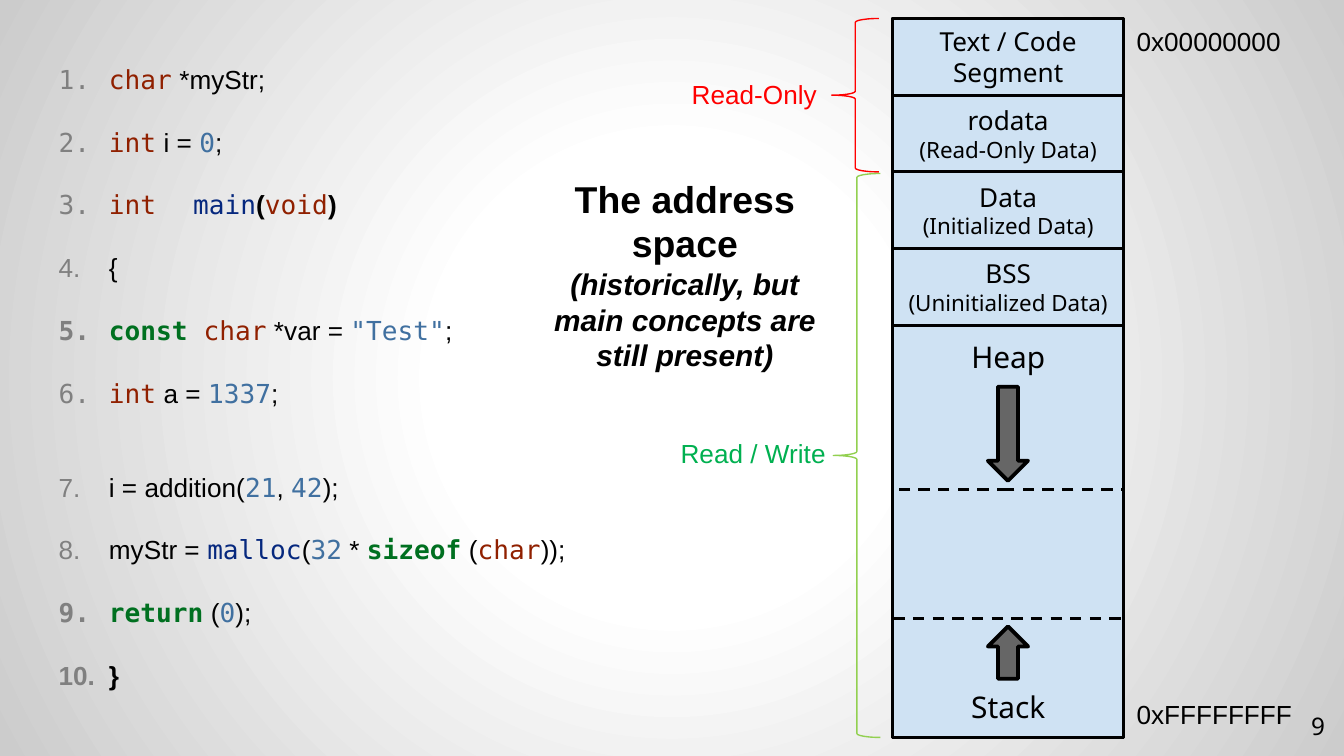
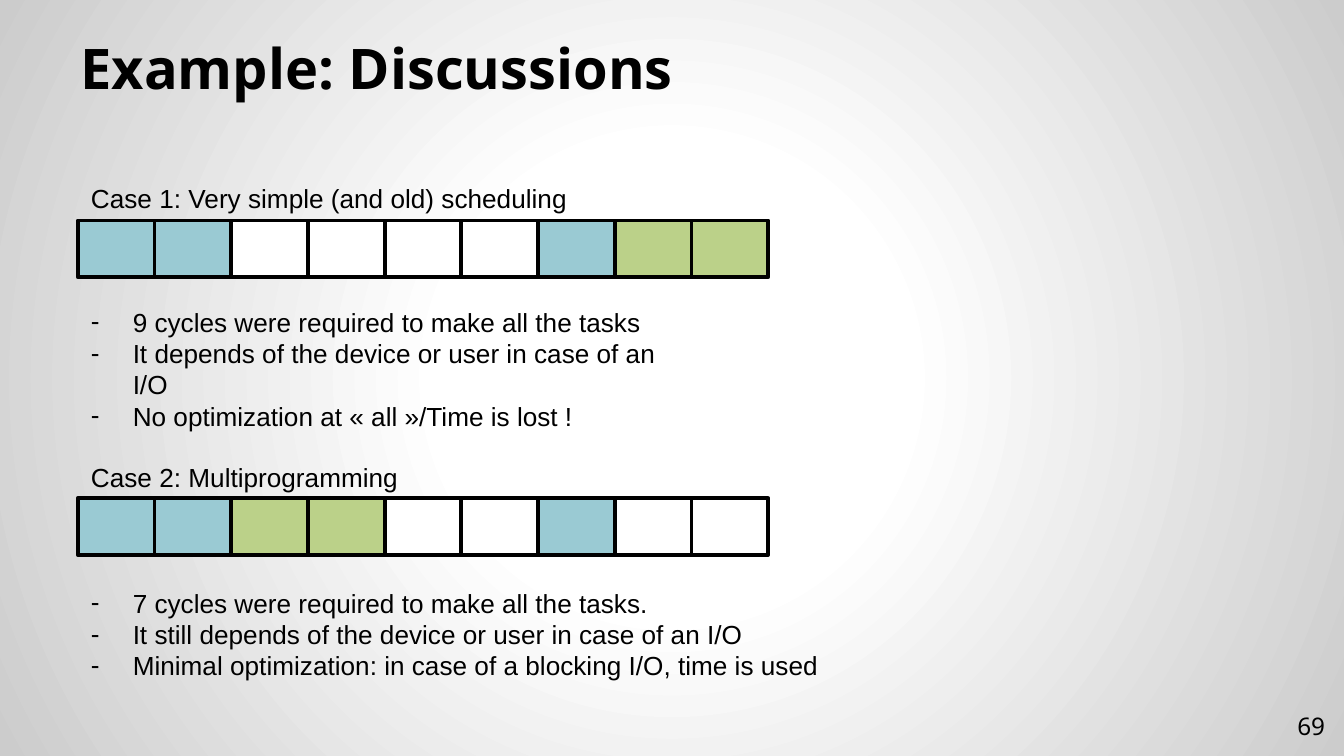
from pptx import Presentation
from pptx.dml.color import RGBColor
from pptx.enum import dml, shapes, text
from pptx.oxml import xmlchemy
from pptx.util import Cm, Pt

BODY_FONT, CODE_FONT, HEAD_FONT = "Arial", "DejaVu Sans Mono", "Noto Sans"
BLACK, WHITE = "000000", "FFFFFF"
MEMORY_BLUE, ARROW_GREY, NUMBER_GREY = "CFE2F3", "666666", "808080"
CELL_COLOURS = {"A": "9ACAD3", "B": "BBD189", "-": WHITE}
KEYWORD, TYPE, FUNCTION, LITERAL = "007020", "902000", "06287E", "4070A0"
TOKEN_COLOURS = {
    **dict.fromkeys(["const", "sizeof", "return"], KEYWORD),
    **dict.fromkeys(["char", "int", "void"], TYPE),
    **dict.fromkeys(["main", "malloc"], FUNCTION),
    **dict.fromkeys(["0", "1337", "21", "42", "32", '"Test"'], LITERAL),
}
BOLD_MARK = "^"
CODE_LINES = [
    "char| *myStr;",
    "int| i = |0|;",
    "int\t|main|^(|void|^)",
    "{",
    'const |char| *var = |"Test"|;',
    "int| a = |1337|;",
    "i = addition(|21|, |42|);",
    "myStr = |malloc|(|32| * |sizeof| (|char|));",
    "return| (|0|);",
    "^}",
]
CODE_GAP, BLOCK_GAP = 16.8, 33.6
FIRST_LINE_AFTER_BLOCK = 6
SEGMENTS = [
    "Text / Code Segment",
    "rodata\v(Read-Only Data)",
    "Data\v(Initialized Data)",
    "BSS\v(Uninitialized Data)",
]
MEMORY_LEFT, MEMORY_TOP, MEMORY_WIDTH, MEMORY_HEIGHT = 16.87, 0.35, 4.37, 13.59
SEGMENT_HEIGHT = 1.45
CELL_LEFT, CELL_WIDTH, CELL_HEIGHT = 1.47, 1.45, 1.07
CASES = [
    ("Case 1: Very simple (and old) scheduling", 3.33, "AA----ABB", 4.17, 5.66, 11.91, [
        "9 cycles were required to make all the tasks",
        "It depends of the device or user in case of an I/O",
        "No optimization at « all »/Time is lost !",
    ]),
    ("Case 2: Multiprogramming", 8.59, "AABB--A--", 9.42, 10.97, 15.29, [
        "7 cycles were required to make all the tasks.",
        "It still depends of the device or user in case of an I/O",
        "Minimal optimization: in case of a blocking I/O, time is used",
    ]),
]


def colour(value):
    return RGBColor.from_string(value)


def add_element(parent, tag, **attributes):
    element = xmlchemy.OxmlElement(tag)
    for key, value in attributes.items():
        element.set(key, str(value))
    parent.append(element)
    return element


def set_background(master):
    master.background.fill.gradient()
    gradient = master.element.xpath("p:cSld/p:bg/p:bgPr/a:gradFill")[0]
    for child in list(gradient):
        gradient.remove(child)
    stops = add_element(gradient, "a:gsLst")
    for percent, value in [(0, WHITE), (30, WHITE), (100, "CCCCCC")]:
        stop = add_element(stops, "a:gs", pos=percent * 1000)
        add_element(stop, "a:srgbClr", val=value)
    circle = add_element(gradient, "a:path", path="circle")
    add_element(circle, "a:fillToRect", l=50000, t=50000, r=50000, b=50000)


def format_run(run, size, value=BLACK, font=BODY_FONT, bold=False, italic=False):
    run.font.size = Pt(size)
    run.font.name = font
    run.font.bold = bold
    run.font.italic = italic
    run.font.color.rgb = colour(value)


def write(frame, words, sizes, value=BLACK, font=BODY_FONT, align="LEFT",
          anchor="TOP", bold=False):
    frame.text = words
    frame.word_wrap = True
    frame.vertical_anchor = text.MSO_ANCHOR[anchor]
    for paragraph in frame.paragraphs:
        paragraph.alignment = text.PP_ALIGN[align]
        for run, size in zip(paragraph.runs, sizes):
            format_run(run, size, value, font, bold)


def set_insets(frame):
    frame.margin_left = frame.margin_right = Cm(0.25)
    frame.margin_top = frame.margin_bottom = Cm(0.25)


def add_label(slide, box, words, size=14, **style):
    label = slide.shapes.add_textbox(*map(Cm, box))
    write(label.text_frame, words, [size], **style)
    return label.text_frame


def add_outlined(owner, kind, box, fill=None, line=BLACK, weight=1.5, dashed=False):
    outlined = owner.shapes.add_shape(shapes.MSO_SHAPE[kind], *map(Cm, box))
    outlined.shadow.inherit = False
    if fill:
        outlined.fill.solid()
        outlined.fill.fore_color.rgb = colour(fill)
    else:
        outlined.fill.background()
    outlined.line.color.rgb = colour(line)
    outlined.line.width = Pt(weight)
    if dashed:
        outlined.line.dash_style = dml.MSO_LINE.DASH
    return outlined


def add_bullet(paragraph, indent, value, font, tag, **attributes):
    properties = paragraph._p.get_or_add_pPr()
    properties.set("marL", str(Cm(indent)))
    properties.set("indent", str(-Cm(indent)))
    add_element(add_element(properties, "a:buClr"), "a:srgbClr", val=value)
    add_element(properties, "a:buFont", typeface=font)
    add_element(properties, tag, **attributes)


def add_page_number(slide, number):
    frame = add_label(slide, (23.77, 13.18, 1.52, 1.09), str(number), 13,
                      font=HEAD_FONT, align="RIGHT", anchor="MIDDLE")
    set_insets(frame)


def add_code(slide, box):
    frame = add_label(slide, box, "\n".join("" for _ in CODE_LINES))
    for index, (paragraph, line) in enumerate(zip(frame.paragraphs, CODE_LINES)):
        tokens = line.split("|")
        number_font = CODE_FONT if tokens[0].strip() in TOKEN_COLOURS else BODY_FONT
        add_bullet(paragraph, 0.95, NUMBER_GREY, number_font,
                   "a:buAutoNum", type="arabicPeriod")
        if index:
            after_block = index == FIRST_LINE_AFTER_BLOCK
            paragraph.space_before = Pt(BLOCK_GAP if after_block else CODE_GAP)
        for token in tokens:
            value = TOKEN_COLOURS.get(token.strip(), BLACK)
            run = paragraph.add_run()
            run.text = token.lstrip(BOLD_MARK)
            format_run(run, 14, value, BODY_FONT if value == BLACK else CODE_FONT,
                       bold=value == KEYWORD or token.startswith(BOLD_MARK))


def add_segment(memory, top, height, words, sizes, anchor="MIDDLE", dashed=False):
    segment = add_outlined(memory, "RECTANGLE", (MEMORY_LEFT, top, MEMORY_WIDTH, height),
                           MEMORY_BLUE, dashed=dashed)
    set_insets(segment.text_frame)
    write(segment.text_frame, words, sizes, font=HEAD_FONT, align="CENTER", anchor=anchor)


def add_memory(slide):
    memory = slide.shapes.add_group_shape()
    whole = (MEMORY_LEFT, MEMORY_TOP, MEMORY_WIDTH, MEMORY_HEIGHT)
    add_outlined(memory, "RECTANGLE", whole, MEMORY_BLUE)
    heap_top = MEMORY_TOP + len(SEGMENTS) * SEGMENT_HEIGHT
    add_segment(memory, heap_top, 3.11, "Heap", [16], "TOP", dashed=True)
    for index, words in enumerate(SEGMENTS):
        add_segment(memory, MEMORY_TOP + index * SEGMENT_HEIGHT, SEGMENT_HEIGHT,
                    words, [14, 12])
    add_segment(memory, 11.69, 2.25, "Stack", [16], "BOTTOM", dashed=True)
    add_outlined(memory, "RECTANGLE", whole)
    for top, height, rotation in [(7.31, 1.78, 0), (11.84, 0.99, 180)]:
        growth = add_outlined(memory, "DOWN_ARROW", (18.67, top, 0.76, height),
                              ARROW_GREY, weight=2)
        growth.rotation = rotation


def add_cycles(slide, top, owners):
    timeline = slide.shapes.add_group_shape()
    for index, owner in enumerate(owners):
        cell = (CELL_LEFT + index * CELL_WIDTH, top, CELL_WIDTH, CELL_HEIGHT)
        add_outlined(timeline, "RECTANGLE", cell, CELL_COLOURS[owner], weight=2)


def add_remarks(slide, box, remarks):
    frame = add_label(slide, box, "\n".join(remarks))
    for paragraph in frame.paragraphs:
        add_bullet(paragraph, 0.79, BLACK, BODY_FONT, "a:buChar", char="-")


def build_address_space(deck):
    slide = deck.slides.add_slide(deck.slide_layouts[6])
    add_page_number(slide, 9)
    add_memory(slide)
    add_code(slide, (0.86, 1.07, 11.13, 12.22))
    add_outlined(slide, "LEFT_BRACE", (15.72, 0.35, 0.89, 2.9), line="FF0000", weight=0.75)
    add_outlined(slide, "LEFT_BRACE", (15.75, 3.28, 0.89, 10.66), line="92D050", weight=0.75)
    add_label(slide, (12.78, 1.35, 2.95, 0.86), "Read-Only", value="FF0000", align="CENTER")
    add_label(slide, (12.37, 8.15, 3.73, 0.86), "Read / Write", value="00B050", align="CENTER")
    add_label(slide, (21.23, 0.36, 3.4, 0.86), "0x00000000")
    add_label(slide, (21.23, 13.08, 3.63, 0.86), "0xFFFFFFFF")
    heading = add_label(
        slide, (10.06, 3.18, 5.77, 4.01),
        "The address space\v(historically, but main concepts are still present)",
        20, align="CENTER", anchor="MIDDLE", bold=True)
    format_run(heading.paragraphs[0].runs[1], 16, bold=True, italic=True)


def build_discussions(deck):
    slide = deck.slides.add_slide(deck.slide_layouts[5])
    add_page_number(slide, 69)
    title = slide.shapes.title
    title.left, title.top, title.width, title.height = map(Cm, (1.27, 0.58, 22.86, 1.57))
    set_insets(title.text_frame)
    write(title.text_frame, "Example: Discussions", [30], font=HEAD_FONT,
          anchor="BOTTOM", bold=True)
    for name, name_top, owners, cells_top, remarks_top, width, remarks in CASES:
        add_cycles(slide, cells_top, owners)
        add_label(slide, (CELL_LEFT, name_top, 11.23, 0.86), name)
        add_remarks(slide, (CELL_LEFT, remarks_top, width, 2.06), remarks)


def main():
    deck = Presentation()
    deck.slide_width, deck.slide_height = Cm(25.4), Cm(14.29)
    set_background(deck.slide_master)
    build_address_space(deck)
    build_discussions(deck)
    deck.save("out.pptx")


if __name__ == "__main__":
    main()
